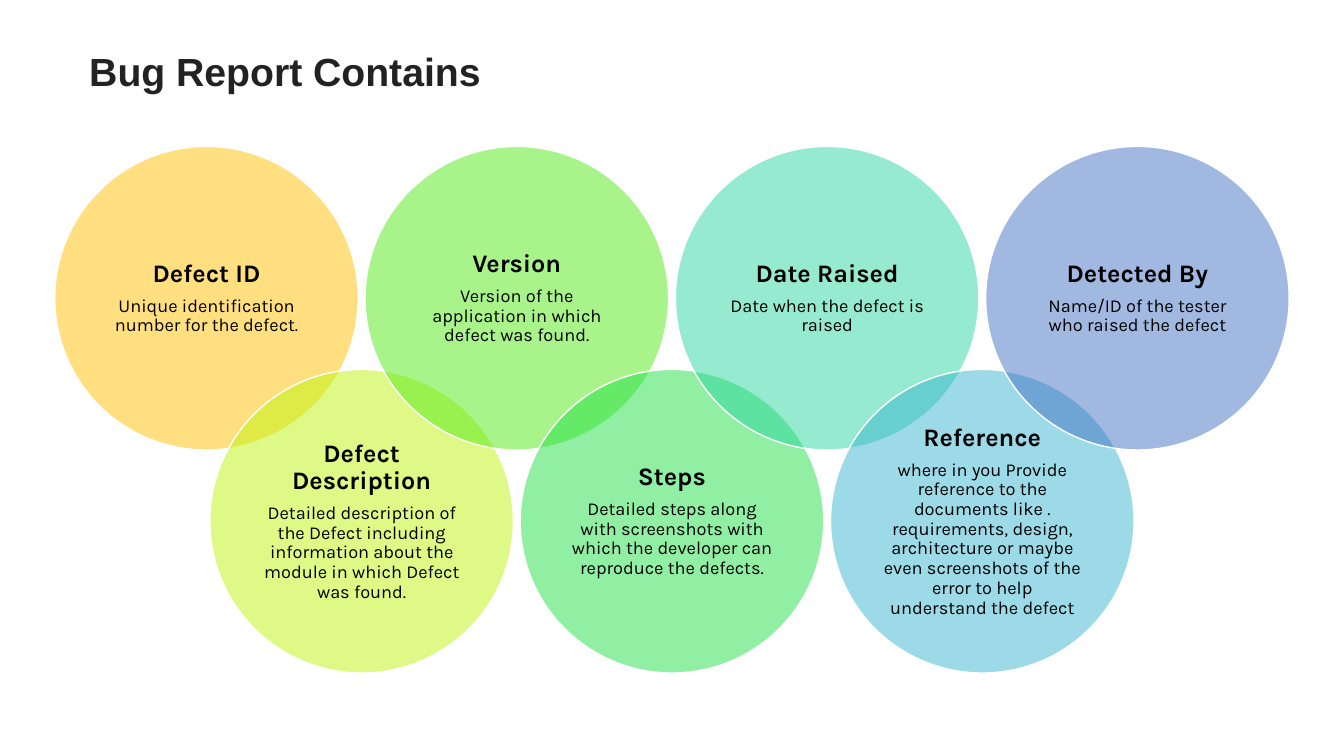
from lxml import etree
from pptx import Presentation
from pptx.dml.color import RGBColor
from pptx.enum.shapes import MSO_SHAPE
from pptx.enum.text import MSO_ANCHOR, PP_ALIGN
from pptx.oxml.ns import qn
from pptx.util import Cm, Pt

WHITE = RGBColor(0xFF, 0xFF, 0xFF)
BLACK = RGBColor(0, 0, 0)
TITLE_GREY = RGBColor(0x22, 0x22, 0x22)
AMBER = RGBColor(0xFF, 0xC0, 0x00)
LIME = RGBColor(0xBE, 0xF5, 0x0C)
GRASS = RGBColor(0x53, 0xEB, 0x17)
GREEN = RGBColor(0x23, 0xE1, 0x48)
MINT = RGBColor(0x2E, 0xD7, 0xA1)
CYAN = RGBColor(0x39, 0xB6, 0xCE)
BLUE = RGBColor(0x44, 0x72, 0xC4)

FIELDS = [
    (AMBER, "Defect ID", "Unique identification number for the defect."),
    (LIME, "Defect Description",
     "Detailed description of the Defect including information about the "
     "module in which Defect was found."),
    (GRASS, "Version", "Version of the application in which defect was found."),
    (GREEN, "Steps",
     "Detailed steps along with screenshots with which the developer can "
     "reproduce the defects."),
    (MINT, "Date Raised", "Date when the defect is raised"),
    (CYAN, "Reference",
     "where in you Provide reference to the documents like . requirements, "
     "design, architecture or maybe even screenshots of the error to help "
     "understand the defect"),
    (BLUE, "Detected By", "Name/ID of the tester who raised the defect"),
]


def add_run(p, text, font, size, color, bold=False):
    r = p.add_run()
    r.text = text
    r.font.name = font
    r.font.size = Pt(size)
    r.font.bold = bold
    r.font.color.rgb = color


def add_title(s, left, top, width, height):
    tf = s.shapes.add_textbox(left, top, width, height).text_frame
    tf.word_wrap = True
    add_run(tf.paragraphs[0], "Bug Report Contains", "Arial", 28, TITLE_GREY, True)


def add_circle(s, left, top, size, color, heading, detail):
    sp = s.shapes.add_shape(MSO_SHAPE.OVAL, left, top, size, size)
    sp.shadow.inherit = False
    sp.line.color.rgb = WHITE
    sp.line.width = Pt(1)

    # Half-transparent fill
    sp.fill.solid()
    sp.fill.fore_color.rgb = color
    clr = sp.fill._xPr.find(qn("a:solidFill"))[0]
    etree.SubElement(clr, qn("a:alpha")).set("val", "50000")

    # Heading and detail
    tf = sp.text_frame
    tf.word_wrap = True
    tf.vertical_anchor = MSO_ANCHOR.MIDDLE
    tf.margin_left = tf.margin_right = tf.margin_top = tf.margin_bottom = Cm(0.18)
    head, body = tf.paragraphs[0], tf.add_paragraph()
    for p in (head, body):
        p.alignment = PP_ALIGN.CENTER
        p.line_spacing = 0.9
    head.space_after = Pt(6.3)
    add_run(head, heading, "Karla", 18, BLACK, True)
    add_run(body, detail, "Karla", 13, BLACK)


def add_circle_chain(s, left, top, size, step, drop):
    """Overlapping circles, alternating between an upper and a lower row."""
    for i, (color, heading, detail) in enumerate(FIELDS):
        add_circle(s, left + i * step, top + i % 2 * drop, size,
                   color, heading, detail)


def main():
    prs = Presentation()
    prs.slide_width, prs.slide_height = Cm(33.87), Cm(19.05)
    s = prs.slides.add_slide(prs.slide_layouts[6])
    add_title(s, Cm(2), Cm(1.07), Cm(20.07), Cm(1.45))
    add_circle_chain(s, Cm(1.38), Cm(3.69), Cm(7.65), Cm(3.91), Cm(5.62))
    prs.save("out.pptx")


if __name__ == "__main__":
    main()
